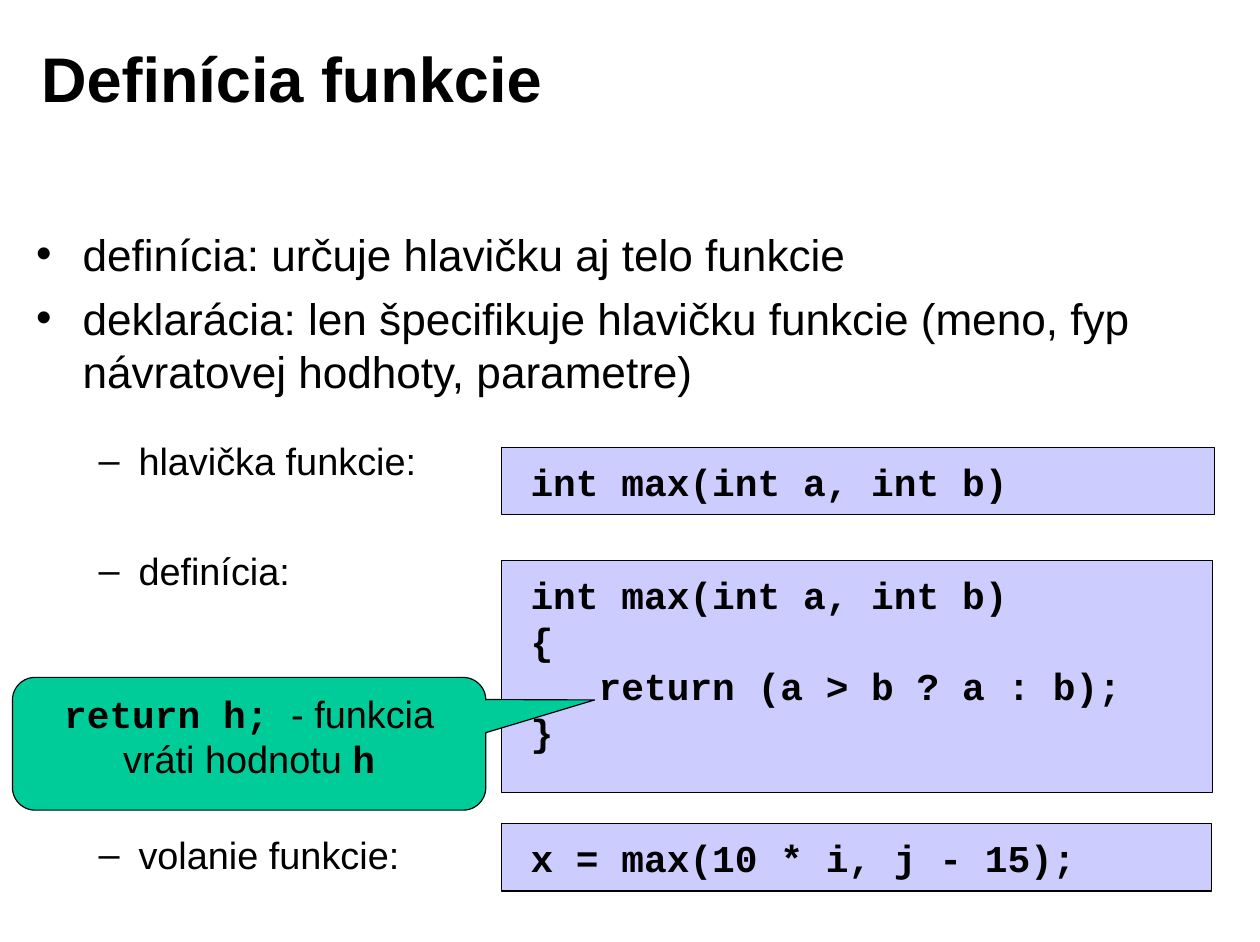
from dataclasses import dataclass

from lxml import etree
from pptx import Presentation
from pptx import util as u
from pptx.dml.color import RGBColor
from pptx.enum import shapes, text
from pptx.oxml import ns


@dataclass(frozen=True)
class Theme:
    ink: RGBColor = RGBColor(0x00, 0x00, 0x00)
    code_fill: RGBColor = RGBColor(0xCC, 0xCC, 0xFF)
    note_fill: RGBColor = RGBColor(0x00, 0xCC, 0x99)
    prose: str = "Arial"
    code: str = "Courier New"
    title_size: int = 40
    point_size: int = 28
    detail_size: int = 24
    leading: float = 1.2
    border: float = 0.75


class LessonSlide:
    def __init__(self, slide, theme):
        self.slide = slide
        self.theme = theme

    def frame(self, shape, insets, anchor=text.MSO_ANCHOR.TOP, wrap=True):
        frame = shape.text_frame
        frame.word_wrap = wrap
        frame.vertical_anchor = anchor
        frame.margin_left = frame.margin_right = u.Cm(insets[0])
        frame.margin_top = frame.margin_bottom = u.Cm(insets[1])
        return frame

    def text_box(self, place, anchor=text.MSO_ANCHOR.TOP):
        box = self.slide.shapes.add_textbox(*map(u.Cm, place))
        return self.frame(box, (0.28, 0.15), anchor)

    def panel(self, kind, place, fill):
        panel = self.slide.shapes.add_shape(kind, *map(u.Cm, place))
        panel.shadow.inherit = False
        panel.fill.solid()
        panel.fill.fore_color.rgb = fill
        panel.line.color.rgb = self.theme.ink
        panel.line.width = u.Pt(self.theme.border)
        return panel

    def paragraph(self, frame, first):
        return frame.paragraphs[0] if first else frame.add_paragraph()

    def run(self, paragraph, words, font, size, bold=False):
        run = paragraph.add_run()
        run.text = words
        run.font.name = font
        run.font.size = u.Pt(size)
        run.font.bold = bold
        run.font.color.rgb = self.theme.ink

    def bullet(self, paragraph, mark, left, hanging):
        props = paragraph._p.get_or_add_pPr()
        props.set("marL", str(u.Cm(left)))
        props.set("indent", str(-u.Cm(hanging)))
        colour = etree.SubElement(props, ns.qn("a:buClr"))
        etree.SubElement(colour, ns.qn("a:srgbClr"), val=str(self.theme.ink))
        etree.SubElement(props, ns.qn("a:buFont"), typeface=self.theme.prose)
        etree.SubElement(props, ns.qn("a:buChar"), char=mark)

    def title(self, place, words):
        frame = self.text_box(place, text.MSO_ANCHOR.MIDDLE)
        self.run(frame.paragraphs[0], words, self.theme.prose, self.theme.title_size, True)

    def outline(self, place, entries):
        frame = self.text_box(place)
        for index, (level, gap, words) in enumerate(entries):
            entry = self.paragraph(frame, index == 0)
            if level:
                self.bullet(entry, "–", 2.29, 0.89)
                size = self.theme.detail_size
            else:
                self.bullet(entry, "•", 1.04, 1.04)
                size = self.theme.point_size
            entry.level = level
            entry.line_spacing = u.Pt(size * self.theme.leading)
            if gap:
                entry.space_before = u.Pt(gap)
            self.run(entry, words, self.theme.prose, size)

    def listing(self, place, lines):
        panel = self.panel(shapes.MSO_SHAPE.RECTANGLE, place, self.theme.code_fill)
        frame = self.frame(panel, (0.64, 0.25), wrap=False)
        for index, words in enumerate(lines):
            line = self.paragraph(frame, index == 0)
            line.alignment = text.PP_ALIGN.LEFT
            line.line_spacing = u.Pt(self.theme.detail_size * self.theme.leading)
            self.run(line, words, self.theme.code, self.theme.detail_size, True)

    def callout(self, place, pointer, parts):
        panel = self.panel(shapes.MSO_SHAPE.ROUNDED_RECTANGULAR_CALLOUT, place, self.theme.note_fill)
        for index, value in enumerate(pointer):
            panel.adjustments[index] = value
        remark = self.frame(panel, (0.28, 0.15)).paragraphs[0]
        remark.alignment = text.PP_ALIGN.CENTER
        for words, is_code in parts:
            font = self.theme.code if is_code else self.theme.prose
            self.run(remark, words, font, self.theme.detail_size, is_code)


def main():
    deck = Presentation()
    deck.slide_width, deck.slide_height = u.Cm(28.19), u.Cm(21.08)
    lesson = LessonSlide(deck.slides.add_slide(deck.slide_layouts[6]), Theme())

    lesson.title((0.64, 0.43, 22.63, 2.59), "Definícia funkcie")
    lesson.outline((0.53, 4.93, 27.08, 15.49), [
        (0, 0, "definícia: určuje hlavičku aj telo funkcie"),
        (0, 7, "deklarácia: len špecifikuje hlavičku funkcie (meno, fyp návratovej hodhoty, parametre)"),
        (1, 26, "hlavička funkcie:"),
        (1, 41, "definícia:"),
        (1, 151, "volanie funkcie:"),
    ])

    header = "int max(int a, int b)"
    lesson.listing((11.23, 10.01, 15.95, 1.5), [header])
    lesson.listing((11.23, 12.55, 15.9, 5.18), [header, "{", "   return (a > b ? a : b);", "}"])
    lesson.listing((11.23, 18.42, 15.88, 1.52), ["x = max(10 * i, j - 15);"])
    lesson.callout((0.28, 15.16, 10.59, 2.97), (0.73, -0.33, 0.17), [
        ("return h; ", True),
        ("- funkcia vráti hodnotu ", False),
        ("h", True),
    ])
    deck.save("out.pptx")


if __name__ == "__main__":
    main()
